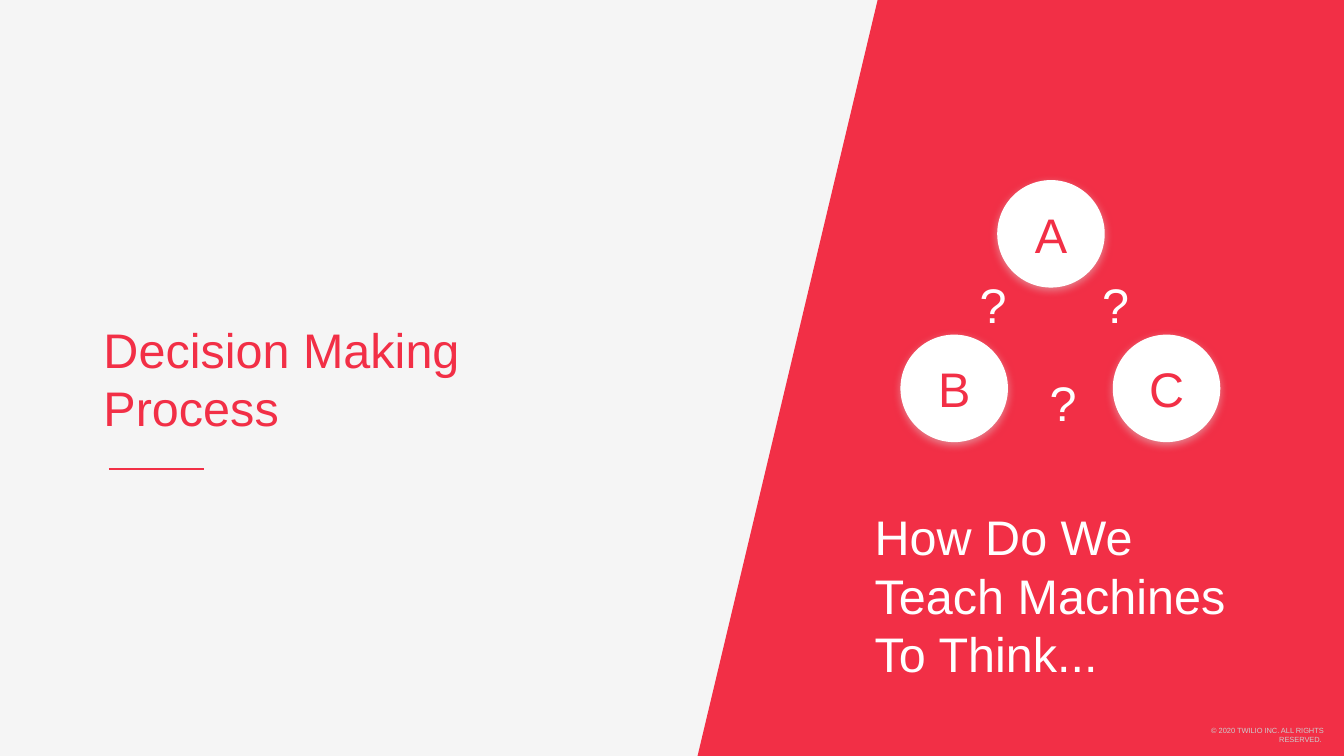
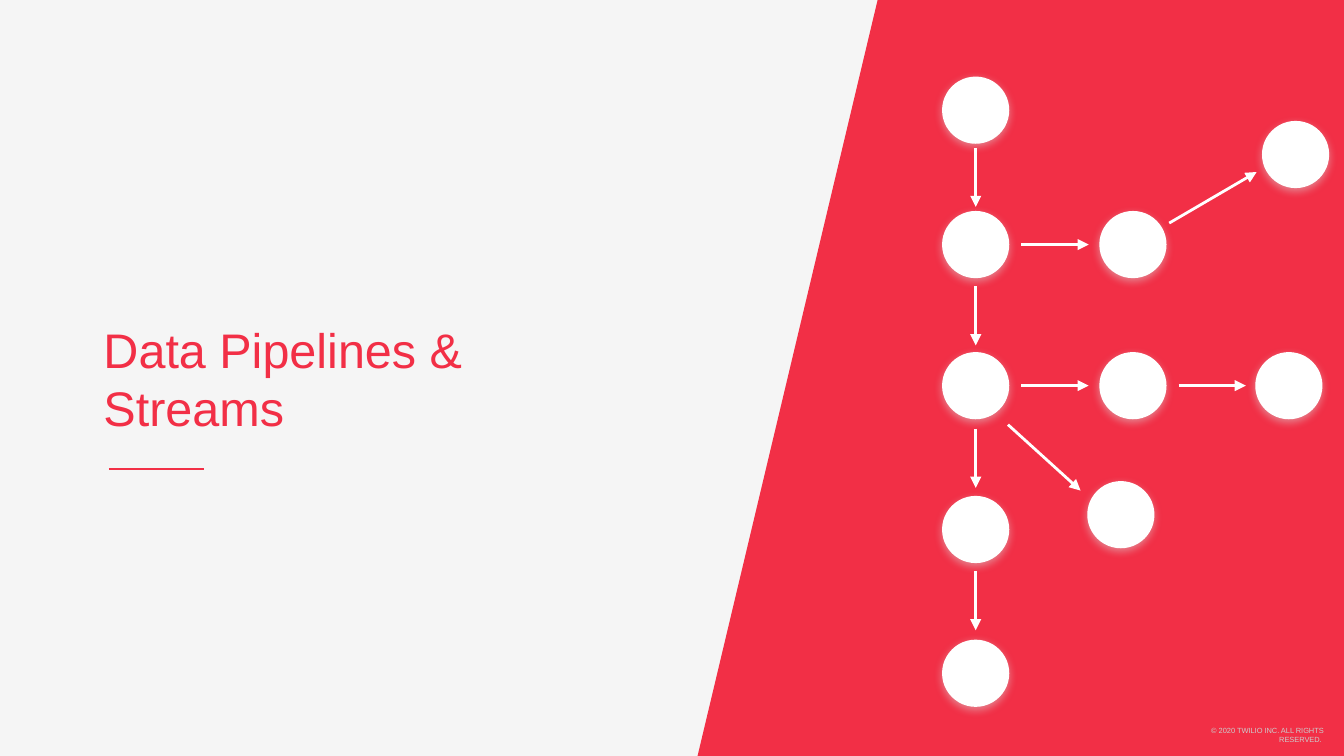
from dataclasses import dataclass

from lxml.etree import SubElement
from pptx import Presentation
from pptx.dml.color import RGBColor
from pptx.enum.shapes import MSO_CONNECTOR, MSO_SHAPE
from pptx.enum.text import MSO_ANCHOR, PP_ALIGN
from pptx.oxml.ns import qn
from pptx.util import Inches, Pt


@dataclass(frozen=True)
class Theme:
    red: RGBColor = RGBColor(0xF2, 0x2F, 0x46)
    white: RGBColor = RGBColor(0xFF, 0xFF, 0xFF)
    paper: RGBColor = RGBColor(0xF5, 0xF5, 0xF5)
    grey: RGBColor = RGBColor(0xCC, 0xCC, 0xCC)
    shadow: str = "D9D9D9"
    font: str = "Arial"
    title_size: float = 26
    footer_size: float = 4
    rule_width: float = 0.75
    arrow_width: float = 1.5


T = Theme()

# Content shared by both slides
WIDTH = 10
HEIGHT = WIDTH * 9 / 16
BAND = [(6.53, 0), (WIDTH, 0), (WIDTH, HEIGHT), (5.19, HEIGHT)]
FOOTER = "© 2020 TWILIO INC. ALL RIGHTS RESERVED. "
FOOTER_BOX = (8.7, 5.4, 1.15, 0.07)
TITLE_BOX = (0.67, 2.14, 2.99, 1.35)
RULE = ((0.81, 3.49), (1.52, 3.49))

# Decision slide: centres of the choices and of the question marks
DECISION_TITLE = "Decision Making Process"
QUESTION = "How Do We Teach Machines To Think..."
QUESTION_BOX = (6.41, 3.75, 2.99, 1.35)
CHOICE_SIZE = 0.8
LABEL_W, LABEL_H = 0.52, 0.61
CHOICES = {"A": (7.82, 1.74), "B": (7.1, 2.89), "C": (8.68, 2.89)}
DOUBTS = [(7.39, 2.26), (8.3, 2.26), (7.91, 2.99)]

# Pipeline slide: node centres by column and row, plus two branches
PIPELINE_TITLE = "Data Pipelines & Streams"
NODE_SIZE = 0.5
COLS = (7.26, 8.43, 9.59)
ROWS = (0.82, 1.82, 2.87, 3.94, 5.01)
BRANCH_NODES = [(8.34, 3.83), (9.64, 1.15)]
BRANCH_ARROWS = [((7.5, 3.16), (8.04, 3.65)), ((8.7, 1.66), (9.35, 1.28))]
DOWN_STARTS, DOWN_LENGTH = (1.1, 2.13, 3.19, 4.25), 0.44
ACROSS_STEPS = [(0, 1), (0, 2), (1, 2)]  # column, row
ACROSS_GAP, ACROSS_LENGTH = 0.34, 0.5


def apply(obj, **values):
    for name, value in values.items():
        setattr(obj, name, value)


def centred(x, y, w, h):
    return x - w / 2, y - h / 2, w, h


def write(sp, text, color, size=T.title_size, align=PP_ALIGN.LEFT,
          anchor=MSO_ANCHOR.MIDDLE, inset=0.1):
    tf = sp.text_frame
    sides = ("margin_left", "margin_top", "margin_right", "margin_bottom")
    apply(tf, word_wrap=True, vertical_anchor=anchor,
          **dict.fromkeys(sides, Inches(inset)))
    p = tf.paragraphs[0]
    p.alignment = align
    r = p.add_run()
    r.text = text
    apply(r.font, name=T.font, size=Pt(size))
    r.font.color.rgb = color


def add_text(s, box, text, color, **style):
    sp = s.shapes.add_textbox(*map(Inches, box))
    write(sp, text, color, **style)


def add_line(s, start, end, color, width, arrow=False):
    cx = s.shapes.add_connector(MSO_CONNECTOR.STRAIGHT,
                                *map(Inches, (*start, *end)))
    cx.line.color.rgb = color
    cx.line.width = Pt(width)
    sp_pr = cx._element.spPr
    if arrow:
        SubElement(sp_pr.find(qn("a:ln")), qn("a:tailEnd"), type="triangle")
    SubElement(sp_pr, qn("a:effectLst"))


def add_arrow(s, start, end):
    add_line(s, start, end, T.white, T.arrow_width, arrow=True)


def add_circle(s, centre, size):
    sp = s.shapes.add_shape(MSO_SHAPE.OVAL,
                            *map(Inches, centred(*centre, size, size)))
    sp.fill.solid()
    sp.fill.fore_color.rgb = T.white
    sp.line.fill.background()
    # Soft shadow straight below the circle
    sp.shadow.inherit = False
    effects = sp._element.spPr.find(qn("a:effectLst"))
    shadow = SubElement(effects, qn("a:outerShdw"), blurRad=str(Pt(4.5)),
                        dist=str(Pt(1.5)), dir="5400000", algn="bl",
                        rotWithShape="0")
    color = SubElement(shadow, qn("a:srgbClr"), val=T.shadow)
    SubElement(color, qn("a:alpha"), val="50000")


def add_slide(prs, title):
    s = prs.slides.add_slide(prs.slide_layouts[5])
    # Slanted band and footer
    corners = [tuple(map(Inches, point)) for point in BAND]
    builder = s.shapes.build_freeform(*corners[0])
    builder.add_line_segments(corners[1:], close=True)
    band = builder.convert_to_shape()
    band.fill.solid()
    band.fill.fore_color.rgb = T.red
    band.line.fill.background()
    band.shadow.inherit = False
    add_text(s, FOOTER_BOX, FOOTER, T.grey, size=T.footer_size,
             align=PP_ALIGN.RIGHT, anchor=MSO_ANCHOR.TOP, inset=0)
    # Title and its rule
    sp = s.shapes.title
    apply(sp, **dict(zip(("left", "top", "width", "height"),
                         map(Inches, TITLE_BOX))))
    write(sp, title, T.red)
    add_line(s, *RULE, T.red, T.rule_width)
    return s


def decision_slide(prs):
    s = add_slide(prs, DECISION_TITLE)
    for centre in CHOICES.values():
        add_circle(s, centre, CHOICE_SIZE)
    labels = [(name, centre, T.red) for name, centre in CHOICES.items()]
    labels += [("?", centre, T.white) for centre in DOUBTS]
    for text, centre, color in labels:
        add_text(s, centred(*centre, LABEL_W, LABEL_H), text, color,
                 align=PP_ALIGN.CENTER)
    add_text(s, QUESTION_BOX, QUESTION, T.white)


def pipeline_slide(prs):
    s = add_slide(prs, PIPELINE_TITLE)
    # The main column, then the nodes its across arrows lead to
    nodes = [(COLS[0], y) for y in ROWS]
    nodes += [(COLS[col + 1], ROWS[row]) for col, row in ACROSS_STEPS]
    for centre in nodes + BRANCH_NODES:
        add_circle(s, centre, NODE_SIZE)
    for y in DOWN_STARTS:
        add_arrow(s, (COLS[0], y), (COLS[0], y + DOWN_LENGTH))
    for col, row in ACROSS_STEPS:
        x, y = COLS[col] + ACROSS_GAP, ROWS[row]
        add_arrow(s, (x, y), (x + ACROSS_LENGTH, y))
    for start, end in BRANCH_ARROWS:
        add_arrow(s, start, end)


def main():
    prs = Presentation()
    apply(prs, slide_width=Inches(WIDTH), slide_height=Inches(HEIGHT))
    fill = prs.slide_master.background.fill
    fill.solid()
    fill.fore_color.rgb = T.paper
    decision_slide(prs)
    pipeline_slide(prs)
    prs.save("out.pptx")


if __name__ == "__main__":
    main()
